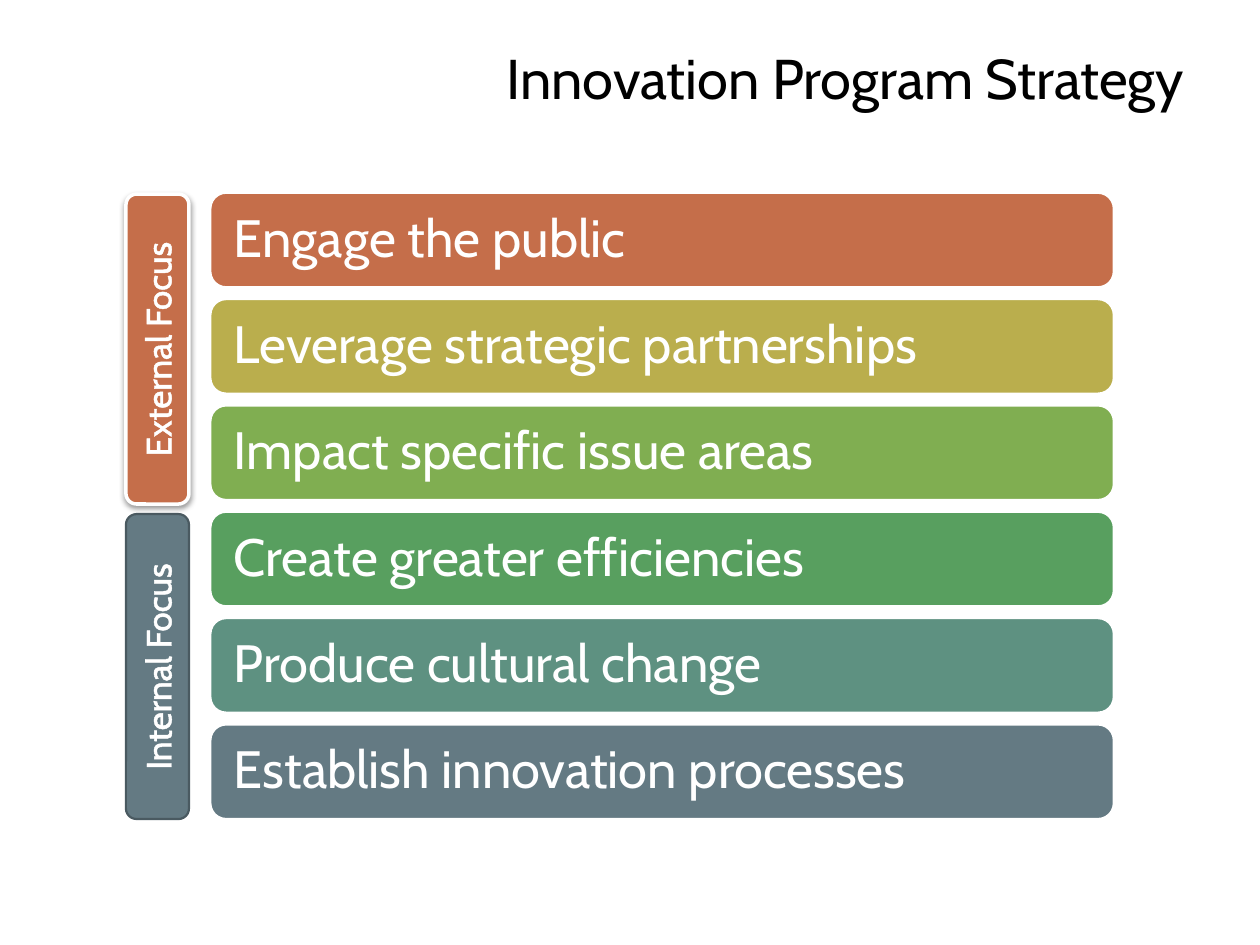
from dataclasses import dataclass

import pptx
import pptx.dml.color
import pptx.enum.shapes
import pptx.enum.text
import pptx.oxml
import pptx.oxml.ns
import pptx.util
from pptx.util import Inches

ALIGN = pptx.enum.text.PP_ALIGN
NS = pptx.oxml.ns.nsdecls("a")


@dataclass(frozen=True)
class Theme:
    font: str = "Cabin"
    black: str = "000000"
    white: str = "FFFFFF"
    rust: str = "C56E4A"
    olive: str = "BAAE4D"
    lime: str = "80AE51"
    green: str = "589F5F"
    teal: str = "5E9181"
    slate: str = "647A83"
    slate_edge: str = "4A5A61"
    title_size: int = 32
    bar_size: int = 30
    label_size: int = 20


THEME = Theme()

BARS = [
    ("Engage the public", THEME.rust),
    ("Leverage strategic partnerships", THEME.olive),
    ("Impact specific issue areas", THEME.lime),
    ("Create greater efficiencies", THEME.green),
    ("Produce cultural change", THEME.teal),
    ("Establish innovation processes", THEME.slate),
]


def rgb(value):
    return pptx.dml.color.RGBColor.from_string(value)


def write(sp, text, size, color=THEME.white, align=ALIGN.LEFT,
          inset=None, line_spacing=None, outline=None):
    """Fill a shape with one middle-anchored paragraph; outline is in points."""
    tf = sp.text_frame
    tf.word_wrap = True
    tf.vertical_anchor = pptx.enum.text.MSO_ANCHOR.MIDDLE
    if inset is not None:
        tf.margin_left = tf.margin_right = inset
        tf.margin_top = tf.margin_bottom = inset
    p = tf.paragraphs[0]
    p.alignment = align
    p.line_spacing = line_spacing
    r = p.add_run()
    r.text = text
    r.font.name = THEME.font
    r.font.size = pptx.util.Pt(size)
    r.font.color.rgb = rgb(color)
    if outline:
        r.font._element.insert(0, pptx.oxml.parse_xml(
            f'<a:ln {NS} w="{pptx.util.Pt(outline)}"><a:solidFill>'
            f'<a:srgbClr val="{color}"/></a:solidFill></a:ln>'))


def add_rounded(s, left, top, width, height, fill, edge, weight):
    sp = s.shapes.add_shape(pptx.enum.shapes.MSO_SHAPE.ROUNDED_RECTANGLE,
                            left, top, width, height)
    sp.shadow.inherit = False
    sp.fill.solid()
    sp.fill.fore_color.rgb = rgb(fill)
    sp.line.color.rgb = rgb(edge)
    sp.line.width = pptx.util.Pt(weight)
    return sp


def add_drop_shadow(sp):
    effects = sp._element.spPr.find(pptx.oxml.ns.qn("a:effectLst"))
    effects.append(pptx.oxml.parse_xml(
        f'<a:outerShdw {NS} blurRad="{pptx.util.Pt(3.1)}" '
        f'dist="{pptx.util.Pt(1.6)}" dir="5400000" rotWithShape="0">'
        '<a:srgbClr val="000000"><a:alpha val="38000"/></a:srgbClr>'
        '</a:outerShdw>'))


def add_title(s, left, top, width, height):
    sp = s.shapes.add_textbox(left, top, width, height)
    write(sp, "Innovation Program Strategy", THEME.title_size,
          color=THEME.black, align=ALIGN.RIGHT)


def add_bars(s, left, top, width, height):
    """Spread the strategy bars evenly from the top to the bottom of the box."""
    bar_height = Inches(0.75)
    pitch = (height - bar_height) / (len(BARS) - 1)
    for i, (text, fill) in enumerate(BARS):
        sp = add_rounded(s, left, top + int(i * pitch), width, bar_height,
                         fill, THEME.white, 1.25)
        write(sp, text, THEME.bar_size, inset=Inches(0.15), line_spacing=0.9)


def add_focus_label(s, left, top, width, height, text, fill, edge, weight):
    """Place a label reading upwards; the box is its place once turned."""
    shift = (height - width) // 2
    sp = add_rounded(s, left - shift, top + shift, height, width,
                     fill, edge, weight)
    sp.rotation = 270
    write(sp, text, THEME.label_size, align=ALIGN.CENTER, outline=1.45)
    return sp


def build_strategy_slide(prs):
    s = prs.slides.add_slide(prs.slide_layouts[6])
    add_title(s, Inches(0.5), Inches(0.3), Inches(9), Inches(0.62))
    add_bars(s, Inches(1.67), Inches(1.53), Inches(7.17), Inches(4.97))
    add_focus_label(s, Inches(1), Inches(4.08), Inches(0.5), Inches(2.42),
                    "Internal Focus", THEME.slate, THEME.slate_edge, 1.25)
    external = add_focus_label(
        s, Inches(1), Inches(1.54), Inches(0.5), Inches(2.46),
        "External Focus", THEME.rust, THEME.white, 2)
    add_drop_shadow(external)


def main():
    prs = pptx.Presentation()
    prs.slide_width, prs.slide_height = Inches(10), Inches(7.5)
    build_strategy_slide(prs)
    prs.save("out.pptx")


if __name__ == "__main__":
    main()
